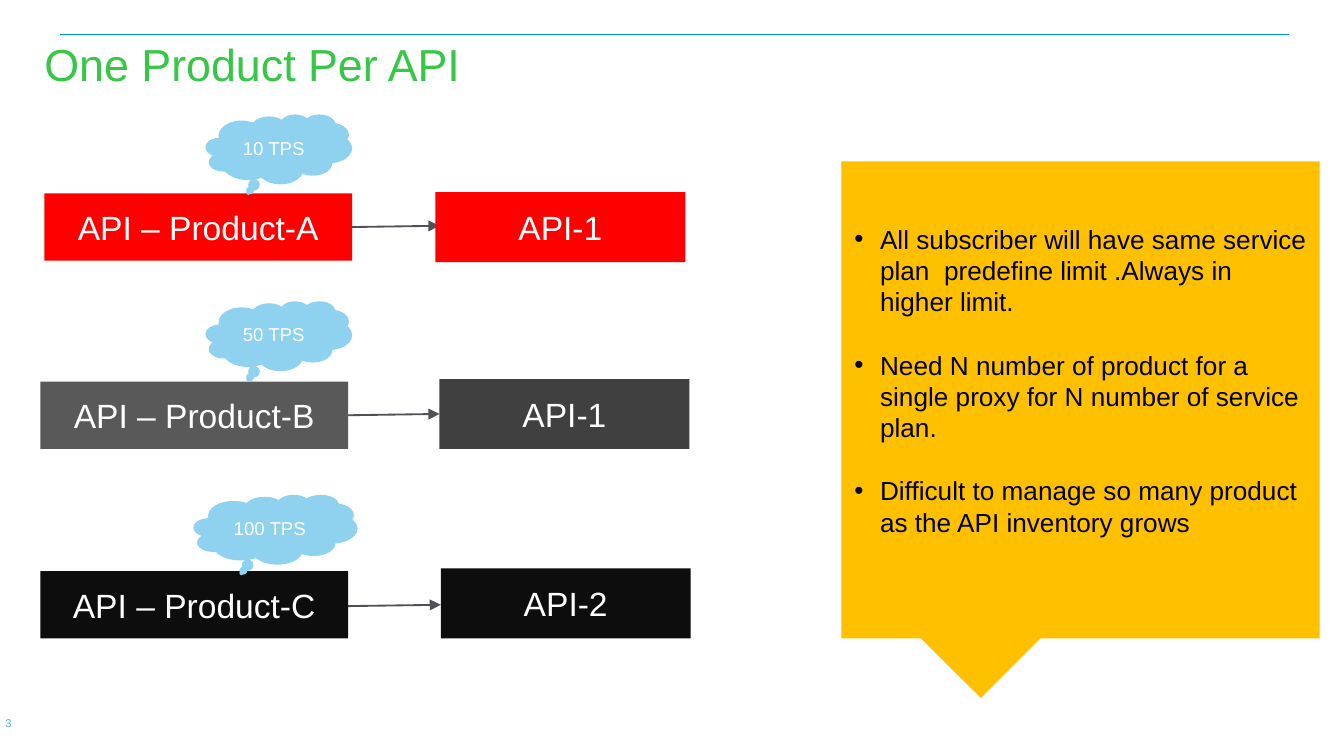
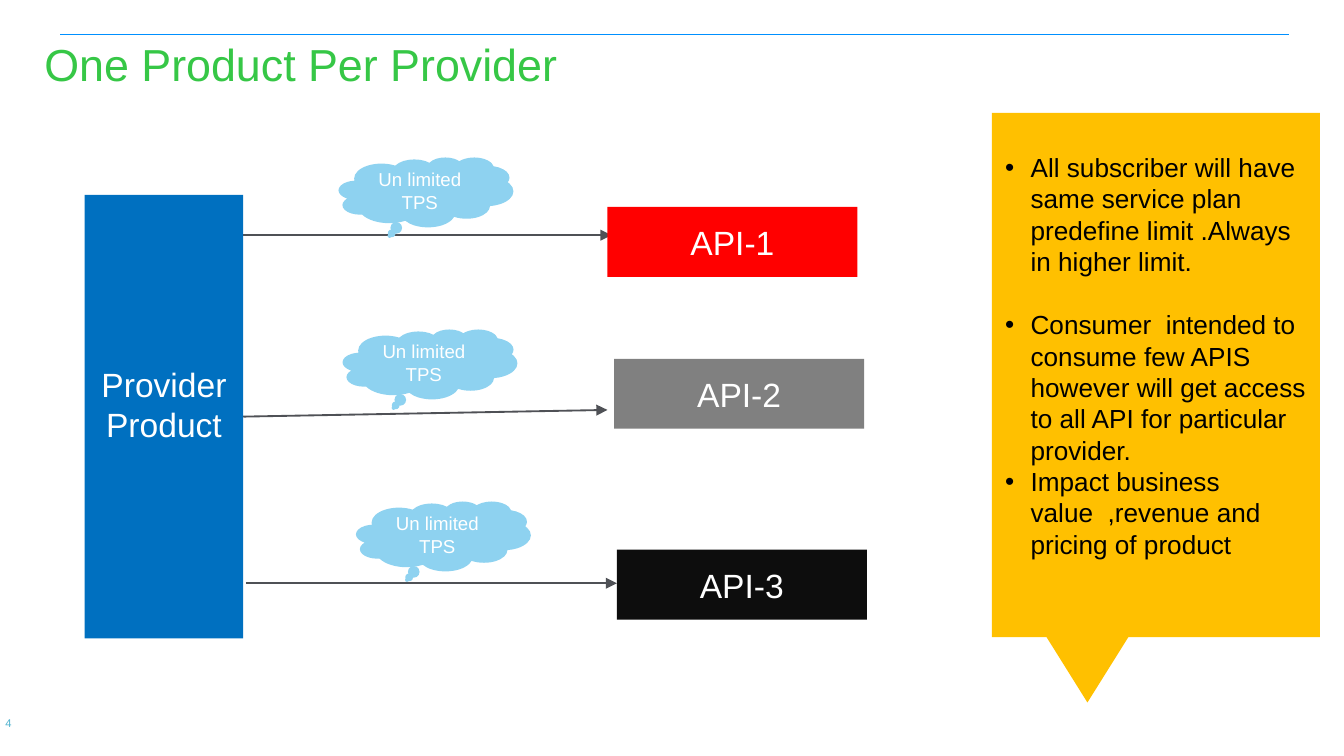
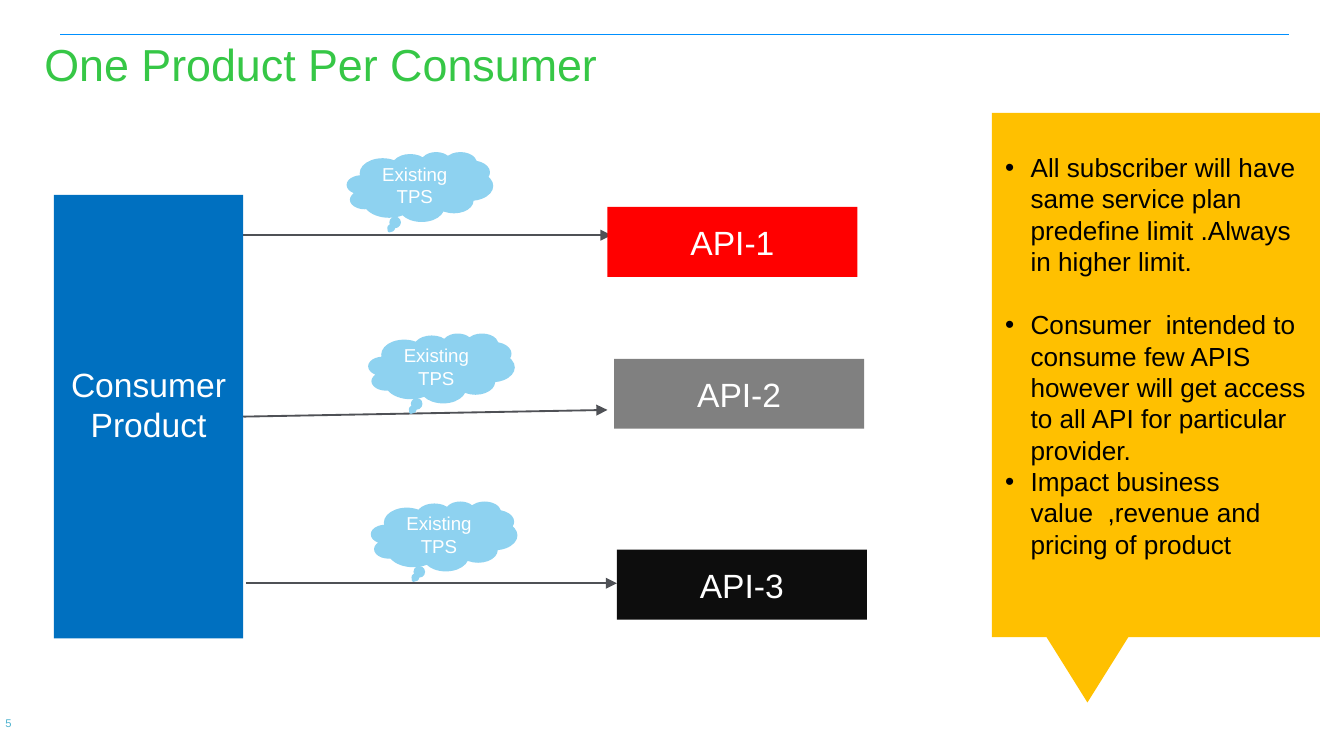
from lxml import etree
from pptx import Presentation
from pptx.dml.color import RGBColor
from pptx.enum import shapes, text
from pptx.oxml import ns
from pptx.util import Inches, Pt

COLORS = {
    "rule": "0090FF", "title": "36C746", "number": "50B3CF", "arrow": "4F5156",
    "cloud": "8ED2F0", "note": "FFC000", "provider": "0070C0", "red": "FF0000",
    "gray": "808080", "slate": "595959", "charcoal": "404040", "black": "0D0D0D",
    "white": "FFFFFF", "ink": "000000",
}
FONT = "Arial"
FIRST_NUMBER = 3
PRODUCT_SIZE = (2.29, 0.5)
API_SIZE = (1.86, 0.52)
CLOUD_HEIGHT = 0.52
BLOCK_TOP, BLOCK_RIGHT, BLOCK_HEIGHT = 1.45, 1.81, 3.3

SHARED_NOTE = (7.38, 0.84, 2.44, 3.9)
SHARED_POINTS = [
    ("All subscriber will have same service plan  predefine limit .Always in higher limit.", True),
    ("Consumer  intended to consume few APIS however will get access to all API for particular provider.", False),
    ("Impact business value  ,revenue and pricing of product", False),
]
SHARED_APIS = [
    ("API-1", "red", 4.52, 1.54),
    ("API-2", "gray", 4.57, 2.67),
    ("API-3", "black", 4.59, 4.09),
]
SHARED_ARROWS = [
    (1.69, 1.75, 4.55, 1.75),
    (1.81, 3.1, 4.52, 3.05),
    (1.83, 4.34, 4.59, 4.34),
]

SLIDES = [
    {
        "title": "One Product Per API",
        "arrows": [(2.59, 1.69, 3.27, 1.68), (2.59, 3.09, 3.27, 3.08), (2.59, 4.51, 3.28, 4.5)],
        "products": [
            ("API – Product-A", "red", 0.33, 1.44),
            ("API – Product-B", "slate", 0.3, 2.84),
            ("API – Product-C", "black", 0.3, 4.25),
        ],
        "apis": [
            ("API-1", "red", 3.24, 1.43),
            ("API-1", "charcoal", 3.27, 2.82),
            ("API-2", "black", 3.28, 4.23),
        ],
        "clouds": [
            ("10 TPS", 1.53, 0.85, 1.09),
            ("50 TPS", 1.53, 2.24, 1.09),
            ("100 TPS", 1.44, 3.68, 1.22),
        ],
        "note": (6.26, 1.2, 3.56, 3.55),
        "points": [
            ("All subscriber will have same service plan  predefine limit .Always in higher limit.", True),
            ("Need N number of product for a single proxy for N number of service plan.", True),
            ("Difficult to manage so many product as the API inventory grows", False),
        ],
    },
    {
        "title": "One Product Per Provider",
        "arrows": SHARED_ARROWS,
        "block": ("Provider Product", 1.18),
        "apis": SHARED_APIS,
        "clouds": [("Un limited TPS", left, top, 1.3)
                   for left, top in [(2.52, 1.17), (2.55, 2.45), (2.65, 3.73)]],
        "note": SHARED_NOTE,
        "points": SHARED_POINTS,
    },
    {
        "title": "One Product Per Consumer",
        "arrows": SHARED_ARROWS,
        "block": ("Consumer Product", 1.41),
        "apis": SHARED_APIS,
        "clouds": [("Existing TPS", left, top, 1.09)
                   for left, top in [(2.58, 1.13), (2.74, 2.48), (2.76, 3.73)]],
        "note": SHARED_NOTE,
        "points": SHARED_POINTS,
    },
]


def rgb(name):
    return RGBColor.from_string(COLORS[name])


def style(paragraph, size, color, align=text.PP_ALIGN.LEFT):
    paragraph.alignment = align
    paragraph.font.name = FONT
    paragraph.font.size = Pt(size)
    paragraph.font.color.rgb = rgb(color)


def clear_margins(frame):
    frame.margin_left = frame.margin_right = frame.margin_top = frame.margin_bottom = 0


def add_line(slide, ends, color, width, arrow=False):
    line = slide.shapes.add_connector(shapes.MSO_CONNECTOR.STRAIGHT, *map(Inches, ends))
    line.line.color.rgb = rgb(color)
    line.line.width = Pt(width)
    if arrow:
        etree.SubElement(line.line._get_or_add_ln(), ns.qn("a:tailEnd"), type="triangle")
    etree.SubElement(line._element.spPr, ns.qn("a:effectLst"))


def add_shape(slide, kind, box, fill, label="", size=18):
    shape = slide.shapes.add_shape(kind, *map(Inches, box))
    shape.shadow.inherit = False
    shape.fill.solid()
    shape.fill.fore_color.rgb = rgb(fill)
    shape.line.fill.background()
    frame = shape.text_frame
    frame.word_wrap = True
    frame.vertical_anchor = text.MSO_ANCHOR.MIDDLE
    frame.text = label
    style(frame.paragraphs[0], size, "white", text.PP_ALIGN.CENTER)
    return shape


def add_frame(slide, title, number):
    add_line(slide, (0.45, 0.26, 9.59, 0.26), "rule", 0.5)
    heading = slide.shapes.title
    heading.left, heading.top, heading.width, heading.height = map(Inches, (0.33, 0.27, 9.26, 0.5))
    frame = heading.text_frame
    frame.text = title
    frame.auto_size = text.MSO_AUTO_SIZE.NONE
    frame.vertical_anchor = text.MSO_ANCHOR.TOP
    clear_margins(frame)
    style(frame.paragraphs[0], 24, "title")
    footer = slide.shapes.add_textbox(*map(Inches, (0.04, 5.33, 0.59, 0.1))).text_frame
    footer.word_wrap = True
    footer.vertical_anchor = text.MSO_ANCHOR.MIDDLE
    footer.text = str(number)
    clear_margins(footer)
    style(footer.paragraphs[0], 6, "number")


def add_note(slide, box, points):
    frame = add_shape(slide, shapes.MSO_SHAPE.RECTANGULAR_CALLOUT, box, "note").text_frame
    frame.margin_right = Inches(0.08)
    frame.margin_bottom = Inches(0.34)
    for index, (point, gap_after) in enumerate(points):
        paragraph = frame.paragraphs[0] if index == 0 else frame.add_paragraph()
        paragraph.text = point
        style(paragraph, 14, "ink")
        paragraph.space_after = Pt(17 if gap_after else 0)
        properties = paragraph._p.get_or_add_pPr()
        properties.set("marL", str(Inches(0.19)))
        properties.set("indent", str(Inches(-0.19)))
        bullet_font = etree.Element(ns.qn("a:buFont"), typeface=FONT)
        bullet = etree.Element(ns.qn("a:buChar"), char="•")
        properties.find(ns.qn("a:defRPr")).addprevious(bullet_font)
        bullet_font.addnext(bullet)


presentation = Presentation()
presentation.slide_width = Inches(10)
presentation.slide_height = Inches(10) * 9 // 16

for number, content in enumerate(SLIDES, FIRST_NUMBER):
    slide = presentation.slides.add_slide(presentation.slide_layouts[5])
    add_frame(slide, content["title"], number)
    for ends in content["arrows"]:
        add_line(slide, ends, "arrow", 1, arrow=True)
    for key, size in (("products", PRODUCT_SIZE), ("apis", API_SIZE)):
        for label, fill, left, top in content.get(key, []):
            add_shape(slide, shapes.MSO_SHAPE.RECTANGLE, (left, top, *size), fill, label)
    if "block" in content:
        label, width = content["block"]
        box = (BLOCK_RIGHT - width, BLOCK_TOP, width, BLOCK_HEIGHT)
        block = add_shape(slide, shapes.MSO_SHAPE.RECTANGLE, box, "provider", label)
        block.text_frame.margin_bottom = Inches(0.24)
    for label, left, top, width in content["clouds"]:
        box = (left, top, width, CLOUD_HEIGHT)
        add_shape(slide, shapes.MSO_SHAPE.CLOUD_CALLOUT, box, "cloud", label, 10)
    add_note(slide, content["note"], content["points"])

presentation.save("out.pptx")
